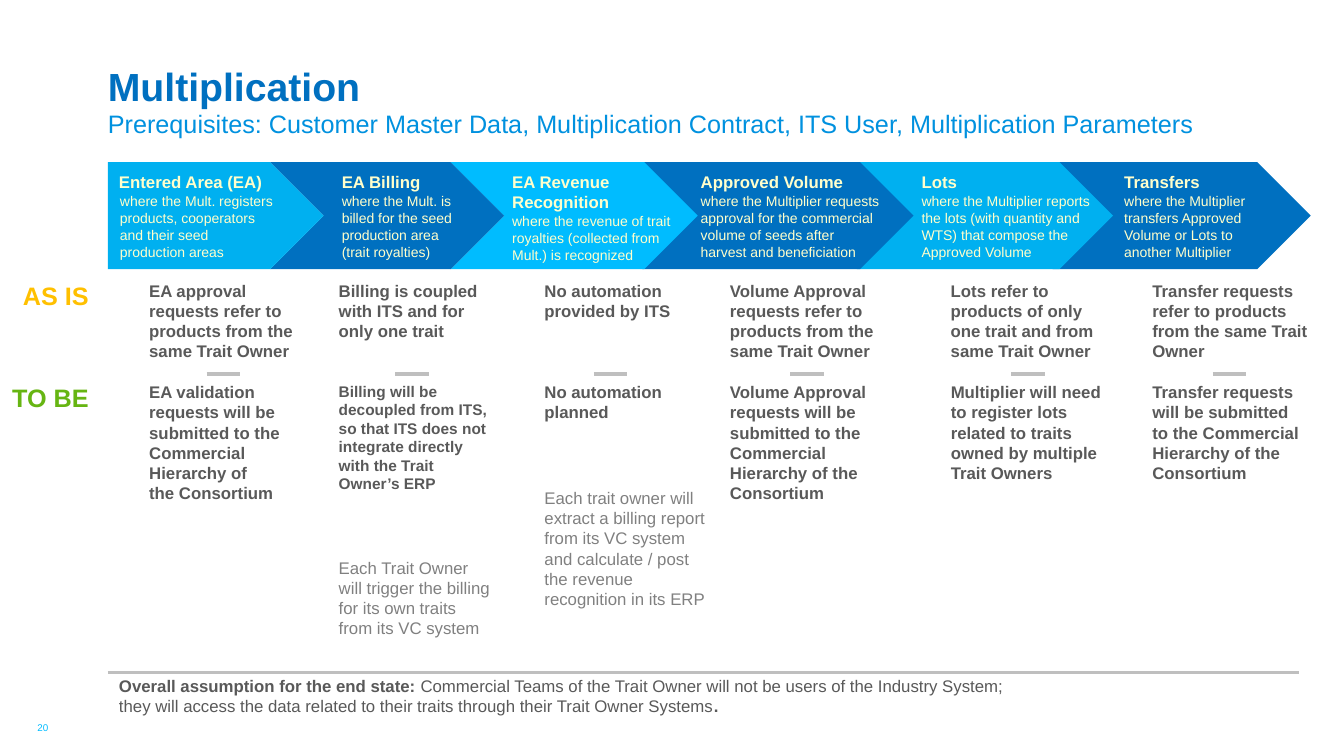
from lxml import etree
from pptx import Presentation
from pptx import util as u
from pptx.dml.color import RGBColor
from pptx.enum import shapes, text
from pptx.oxml.ns import qn

PX = 9144  # 100 px to the inch

TITLE = "Multiplication"
SUBTITLE = ("Prerequisites: Customer Master Data, Multiplication Contract, "
            "ITS User, Multiplication Parameters")
BLUE, SKY, BRIGHT = "0070C0", "00B0F0", "00BCFF"
CREAM, DARK, GREY, RULE = "FFFFCC", "595959", "808080", "BFBFBF"

# arrow: left, width, colour; label: left, width of the text on the arrow
# as_is / to_be: width, text; to_be may add a font size; note: top, width, text
STEPS = [
    dict(arrow=(107, 214, SKY), label=(119, 155), heading="Entered Area (EA)",
         detail="where the Mult. registers products, cooperators and their seed \vproduction areas",
         left=148, dash=205,
         as_is=(146, "EA approval requests refer to products from the same Trait Owner"),
         to_be=(146, "EA validation requests will be submitted to the Commercial "
                     "Hierarchy of \vthe Consortium")),
    dict(arrow=(268, 232, BLUE), label=(339, 116), heading="EA Billing",
         detail="where the Mult. is billed for the seed production area \v(trait royalties)",
         left=336, dash=392,
         as_is=(146, "Billing is coupled with ITS and for only one trait"),
         to_be=(154, "Billing will be decoupled from ITS, so that ITS does not "
                     "integrate directly with the Trait Owner’s ERP", 11),
         note=(553, 154, "Each Trait Owner will trigger the billing for its own traits "
                         "from its VC system")),
    dict(arrow=(447, 245, BRIGHT), label=(508, 162), heading="EA Revenue\vRecognition",
         detail="where the revenue of trait royalties (collected from Mult.) is recognized",
         left=540, dash=589,
         as_is=(131, "No automation provided by ITS"),
         to_be=(146, "No automation planned"),
         note=(484, 165, "Each trait owner will extract a billing report from its VC system "
                         "and calculate / post the revenue recognition in its ERP")),
    dict(arrow=(637, 269, BLUE), label=(695, 178), heading="Approved Volume",
         detail="where the Multiplier requests approval for the commercial volume of "
                "seeds after harvest and beneficiation",
         left=724, dash=784,
         as_is=(154, "Volume Approval requests refer to products from the same Trait Owner"),
         to_be=(146, "Volume Approval requests will be submitted to the Commercial "
                     "Hierarchy of the Consortium")),
    dict(arrow=(850, 254, SKY), label=(914, 173), heading="Lots",
         detail="where the Multiplier reports the lots (with quantity and WTS) that "
                "compose the Approved Volume",
         left=943, dash=1003,
         as_is=(154, "Lots refer to products of only one trait and from same Trait Owner"),
         to_be=(161, "Multiplier will need to register lots related to traits owned by "
                     "multiple Trait Owners")),
    dict(arrow=(1044, 256, BLUE), label=(1115, 131), heading="Transfers",
         detail="where the Multiplier transfers Approved Volume or Lots to another Multiplier",
         left=1143, dash=1203,
         as_is=(154, "Transfer requests refer to products from the same Trait Owner"),
         to_be=(146, "Transfer requests will be submitted to the Commercial Hierarchy "
                     "of the Consortium")),
]
ROWS = [("AS IS", 278, "FFC000"), ("TO BE", 379, "66B512")]
ASSUMPTION = [
    ("Overall assumption for the end state: ", True),
    ("Commercial Teams of the Trait Owner will not be users of the Industry System; "
     "they will access the data related to their traits through their Trait Owner Systems", False),
    (".", True),
]
ARROW_TOP, ARROW_HEIGHT = 161, 106
HEADING_TOP, LINE = 170, 20
DASH_TOP, DASH_WIDTH = 371, 33

deck = Presentation()
deck.slide_width, deck.slide_height = 1333 * PX, 750 * PX
page = deck.slides.add_slide(deck.slide_layouts[0])


def colour(code):
    return RGBColor.from_string(code)


def write(content, place, box=None, size=12, color=DARK, bold=False,
          align=text.PP_ALIGN.LEFT, anchor=text.MSO_ANCHOR.TOP):
    """Put a string, or a list of (string, bold) spans, in a box at place."""
    left, top, width, height = (v * PX for v in place)
    if box is None:
        box = page.shapes.add_textbox(left, top, width, height)
    else:
        box.left, box.top, box.width, box.height = left, top, width, height
    frame = box.text_frame
    frame.word_wrap = True
    frame.auto_size = text.MSO_AUTO_SIZE.NONE
    frame.vertical_anchor = anchor
    frame.margin_left = frame.margin_top = frame.margin_right = frame.margin_bottom = 0
    para = frame.paragraphs[0]
    para.alignment = align
    para.space_before = u.Pt(0)
    for words, heavy in [(content, bold)] if isinstance(content, str) else content:
        for index, part in enumerate(words.split("\v")):
            if index:
                para.add_line_break()
            span = para.add_run()
            span.text = part
            span.font.name, span.font.size, span.font.bold = "Arial", u.Pt(size), heavy
            span.font.color.rgb = colour(color)


def rule(left, right, top):
    line = page.shapes.add_connector(shapes.MSO_CONNECTOR.STRAIGHT,
                                     left * PX, top * PX, right * PX, top * PX)
    line.line.color.rgb = colour(RULE)
    line.line.width = u.Pt(2.25)
    etree.SubElement(line._element.spPr, qn("a:effectLst"))


# Title and subtitle
write(TITLE, (107, 15, 1181, 94), page.shapes.title, size=28, color=BLUE, bold=True,
      anchor=text.MSO_ANCHOR.BOTTOM)
write(SUBTITLE, (107, 107, 1181, 28), page.placeholders[1], size=18, color="0091DF")

# Process arrows, from right to left so that each tip lies on top
for step in reversed(STEPS):
    kind = shapes.MSO_SHAPE.PENTAGON if step is STEPS[0] else shapes.MSO_SHAPE.CHEVRON
    left, width, fill = step["arrow"]
    arrow = page.shapes.add_shape(kind, left * PX, ARROW_TOP * PX, width * PX, ARROW_HEIGHT * PX)
    arrow.shadow.inherit = False
    arrow.fill.solid()
    arrow.fill.fore_color.rgb = colour(fill)
    arrow.line.fill.background()

# Row labels
for label, top, color in ROWS:
    write(label, (3, top, 85, 28), size=18, color=color, bold=True, align=text.PP_ALIGN.RIGHT)

# Columns: arrow text, as-is and to-be states, notes
for step in STEPS:
    left, width = step["label"]
    lines = step["heading"].count("\v") + 1
    write(step["heading"], (left - (step is STEPS[0]), HEADING_TOP, width, LINE * lines),
          color=CREAM, bold=True)
    write(step["detail"], (left, HEADING_TOP + 1 + LINE * lines, width, 28), size=10, color=CREAM)
    for (_, top, _), (width, words, *size) in zip(ROWS, (step["as_is"], step["to_be"])):
        write(words, (step["left"], top, width, 55), size=size[0] if size else 12, bold=True)
    rule(step["dash"], step["dash"] + DASH_WIDTH, DASH_TOP)
    if "note" in step:
        top, width, words = step["note"]
        write(words, (step["left"], top, width, 55), color=GREY)

# Footer
rule(107, 1288, 667)
write(ASSUMPTION, (118, 670, 882, 39))
write("20", (21, 716, 43, 12), size=7, color=BRIGHT, align=text.PP_ALIGN.CENTER)

deck.save("out.pptx")
